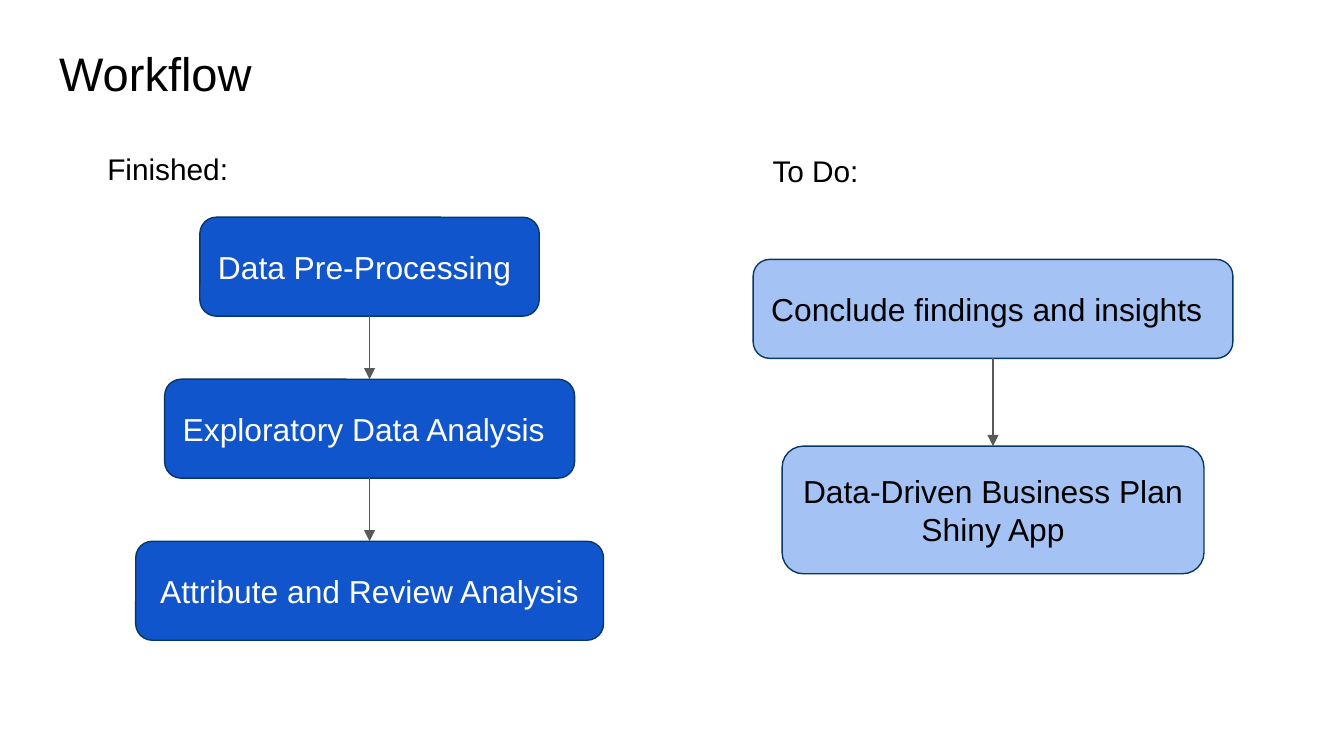
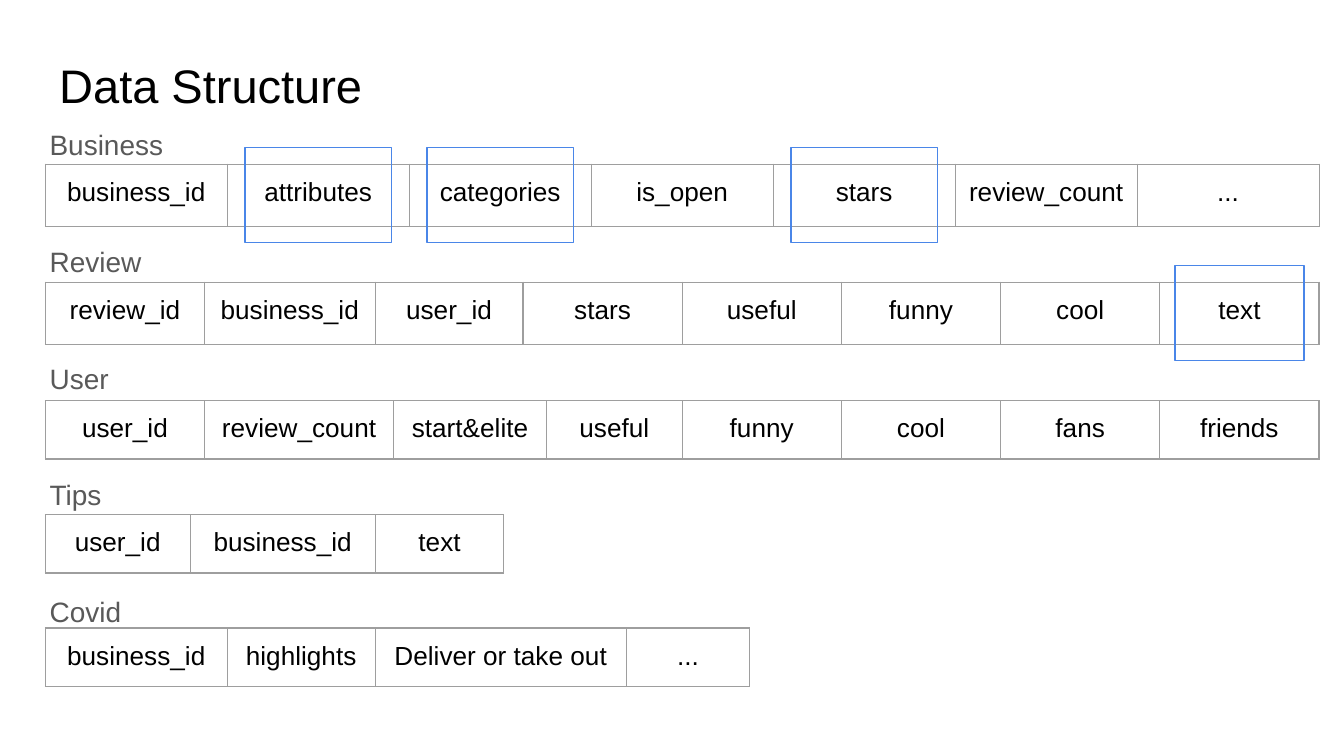
from lxml import etree
from pptx import Presentation
from pptx.dml.color import RGBColor
from pptx.enum.shapes import MSO_CONNECTOR as Connector, MSO_SHAPE as Shape
from pptx.enum.text import MSO_ANCHOR as Anchor, MSO_AUTO_SIZE as AutoSize, PP_ALIGN as Align
from pptx.oxml.ns import qn
from pptx.util import Pt

# ---- Shared look ----
FONT = "Arial"
INSET = 7.2
THIN = 0.75
COLORS = {
    "black": "000000", "white": "FFFFFF", "grey": "595959",
    "done": "1155CC", "todo": "A4C2F4", "outline": "073763",
    "grid": "9E9E9E", "highlight": "4A86E8",
}

# ---- Workflow content: steps are (text, width, height, alignment) ----
STAGES = [
    {"heading": "Finished:", "heading_at": (50.4, 73.4), "center": 198, "top": 116.4,
     "gap": 33.8, "fill": "done", "ink": "white", "steps": [
         ("Data Pre-Processing", 181.8, 53, Align.LEFT),
         ("Exploratory Data Analysis", 219.6, 53, Align.LEFT),
         ("Attribute and Review Analysis", 250.6, 53, Align.CENTER)]},
    {"heading": "To Do:", "heading_at": (406.8, 74.8), "center": 532, "top": 139,
     "gap": 47, "fill": "todo", "ink": "black", "steps": [
         ("Conclude findings and insights", 257, 53, Align.LEFT),
         ("Data-Driven Business Plan\nShiny App", 226, 68.4, Align.CENTER)]},
]

# ---- Data structure content: fields are (name, column width) ----
TABLE_LEFT = 24.3
LABEL_PITCH = 61.7
LABEL_LINE = 18.1
WIDE, MID = 97.5, 85.3
DATASETS = [
    {"label": "Business", "top": 88, "height": 33.2, "fields": [
        ("business_id", WIDE), ("attributes", WIDE), ("categories", WIDE),
        ("is_open", WIDE), ("stars", WIDE), ("review_count", WIDE), ("...", WIDE)],
     "marked": {"attributes": 78.6, "categories": 78.6, "stars": 78.6}},
    {"label": "Review", "top": 151.2, "height": 33.2, "fields": [
        ("review_id", MID), ("business_id", 91.4), ("user_id", 79.2), ("stars", MID),
        ("useful", MID), ("funny", MID), ("cool", MID), ("text", MID)],
     "marked": {"text": 69}},
    {"label": "User", "top": 214.6, "height": 30.4, "fields": [
        ("user_id", MID), ("review_count", 101.3), ("start&elite", 82), ("useful", 72.6),
        ("funny", MID), ("cool", MID), ("fans", MID), ("friends", MID)],
     "marked": {}},
    {"label": "Tips", "top": 275.7, "height": 30.4, "fields": [
        ("user_id", 77.6), ("business_id", 99.2), ("text", 68.8)],
     "marked": {}},
    {"label": "Covid", "top": 336.4, "height": 31.2, "fields": [
        ("business_id", WIDE), ("highlights", 79.2), ("Deliver or take out", 134.6),
        ("...", 66)],
     "marked": {}},
]
MARK_HEIGHT = 51


# ---- Helpers ----
def rgb(name):
    return RGBColor.from_string(COLORS[name])


def set_text(frame, text, size, ink, align=Align.LEFT, anchor=Anchor.TOP):
    frame.text = text
    frame.word_wrap = True
    frame.vertical_anchor = anchor
    frame.margin_left = frame.margin_right = Pt(INSET)
    frame.margin_top = frame.margin_bottom = Pt(INSET)
    style_paragraphs(frame, size, ink, align)


def style_paragraphs(frame, size, ink, align):
    for paragraph in frame.paragraphs:
        paragraph.alignment = align
        for run in paragraph.runs:
            run.font.size = Pt(size)
            run.font.name = FONT
            run.font.color.rgb = rgb(ink)


def add_titled_slide(prs, text, top):
    slide = prs.slides.add_slide(prs.slide_layouts[5])
    title = slide.shapes.title
    title.left, title.top, title.width, title.height = Pt(24.5), Pt(top), Pt(671), Pt(45)
    set_text(title.text_frame, text, 25.2, "black")
    title.text_frame.auto_size = AutoSize.NONE
    return slide


def add_box(slide, kind, left, top, width, height, line, fill=None):
    box = slide.shapes.add_shape(kind, Pt(left), Pt(top), Pt(width), Pt(height))
    box.shadow.inherit = False
    box.line.color.rgb = rgb(line)
    box.line.width = Pt(THIN)
    if fill:
        box.fill.solid()
        box.fill.fore_color.rgb = rgb(fill)
    else:
        box.fill.background()
    return box


def add_arrow(slide, start, end):
    arrow = slide.shapes.add_connector(Connector.STRAIGHT, 0, 0, 0, 0)
    arrow.begin_connect(start, 2)
    arrow.end_connect(end, 0)
    arrow.line.color.rgb = rgb("grey")
    arrow.line.width = Pt(THIN)
    etree.SubElement(arrow.line._get_or_add_ln(), qn("a:tailEnd"), type="triangle")
    etree.SubElement(arrow._element.spPr, qn("a:effectLst"))


def add_label(slide, left, top, width, height):
    return slide.shapes.add_textbox(Pt(left), Pt(top), Pt(width), Pt(height)).text_frame


def style_cell(cell, text):
    cell.margin_left = cell.margin_right = Pt(INSET)
    cell.margin_top = cell.margin_bottom = Pt(INSET)
    cell.text_frame.text = text
    style_paragraphs(cell.text_frame, 14, "black", Align.CENTER)
    properties = cell._tc.get_or_add_tcPr()
    for side in ("lnL", "lnR", "lnT", "lnB"):
        border = etree.SubElement(properties, qn(f"a:{side}"), w=str(Pt(THIN)))
        solid = etree.SubElement(border, qn("a:solidFill"))
        etree.SubElement(solid, qn("a:srgbClr"), val=COLORS["grid"])
    cell.fill.background()


# ---- Slides ----
def build_workflow(prs):
    slide = add_titled_slide(prs, "Workflow", 16.5)
    for stage in STAGES:
        heading = add_label(slide, *stage["heading_at"], 163.4, 33.8)
        set_text(heading, stage["heading"], 16, "black")
        heading.auto_size = AutoSize.SHAPE_TO_FIT_TEXT

        top, previous = stage["top"], None
        for text, width, height, align in stage["steps"]:
            step = add_box(slide, Shape.ROUNDED_RECTANGLE, stage["center"] - width / 2,
                           top, width, height, "outline", stage["fill"])
            set_text(step.text_frame, text, 17, stage["ink"], align, Anchor.MIDDLE)
            if previous is not None:
                add_arrow(slide, previous, step)
            previous = step
            top += height + stage["gap"]


def add_dataset(slide, dataset):
    fields, top, height = dataset["fields"], dataset["top"], dataset["height"]
    total = sum(width for _, width in fields)
    table = slide.shapes.add_table(1, len(fields), Pt(TABLE_LEFT), Pt(top),
                                   Pt(total), Pt(height)).table
    table.first_row = table.horz_banding = False
    table.rows[0].height = Pt(height)
    left = TABLE_LEFT
    for column, (field, width) in enumerate(fields):
        table.columns[column].width = Pt(width)
        style_cell(table.cell(0, column), field)
        # Highlight frame centred on its cell
        if field in dataset["marked"]:
            mark = dataset["marked"][field]
            add_box(slide, Shape.RECTANGLE, left + (width - mark) / 2,
                    top + (height - MARK_HEIGHT) / 2, mark, MARK_HEIGHT, "highlight")
        left += width


def build_data_structure(prs):
    slide = add_titled_slide(prs, "Data Structure", 23)
    # Dataset labels, spaced to sit above their tables
    labels = add_label(slide, 19.5, 60.5, 671, 327.6)
    set_text(labels, "\n".join(dataset["label"] for dataset in DATASETS), 15, "grey")
    for index, label in enumerate(labels.paragraphs):
        label.line_spacing = 1.05
        label.space_before = Pt(LABEL_PITCH - LABEL_LINE if index else 0)
    for dataset in DATASETS:
        add_dataset(slide, dataset)


def main():
    prs = Presentation()
    prs.slide_width, prs.slide_height = Pt(720), Pt(405)
    build_workflow(prs)
    build_data_structure(prs)
    prs.save("out.pptx")


if __name__ == "__main__":
    main()
